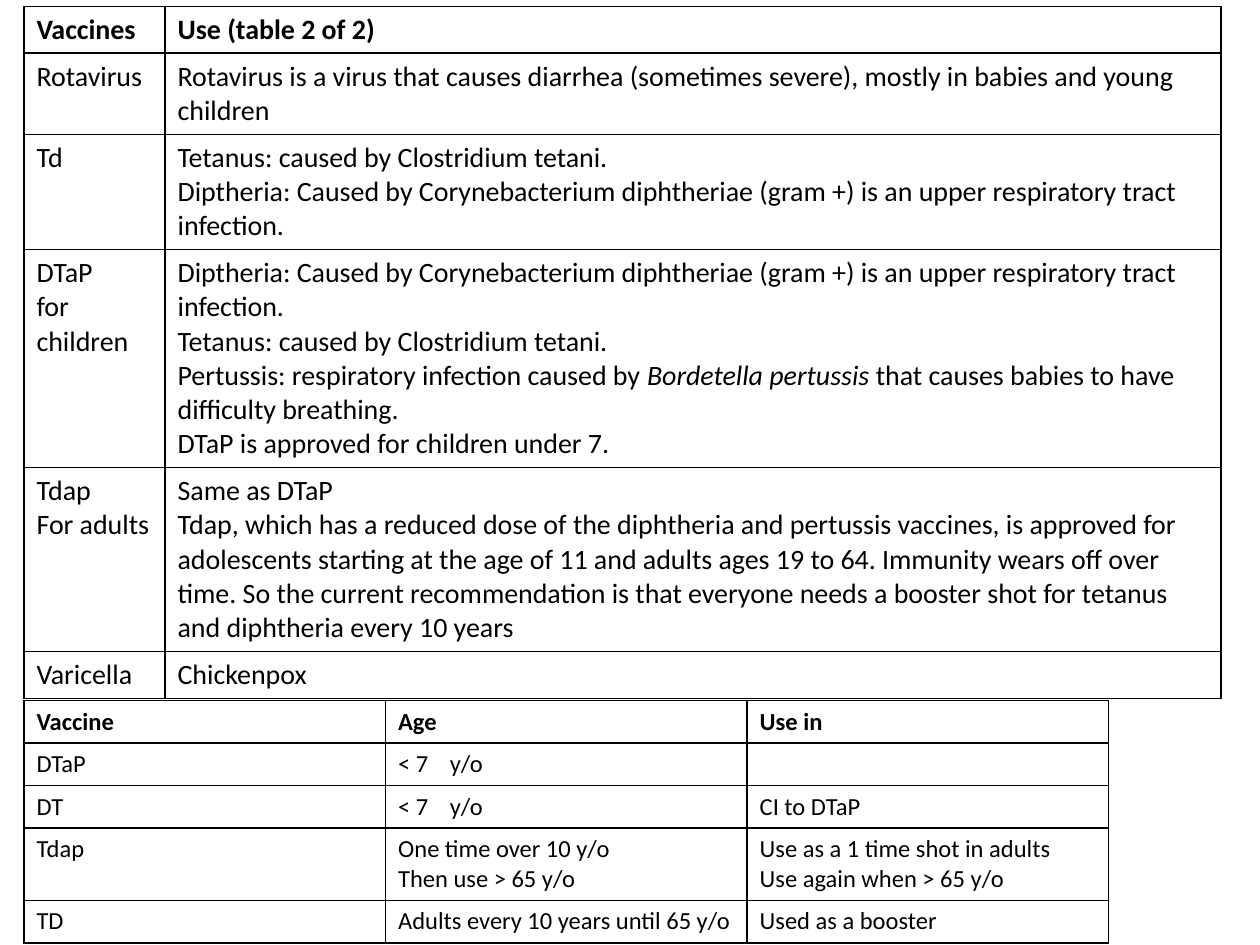
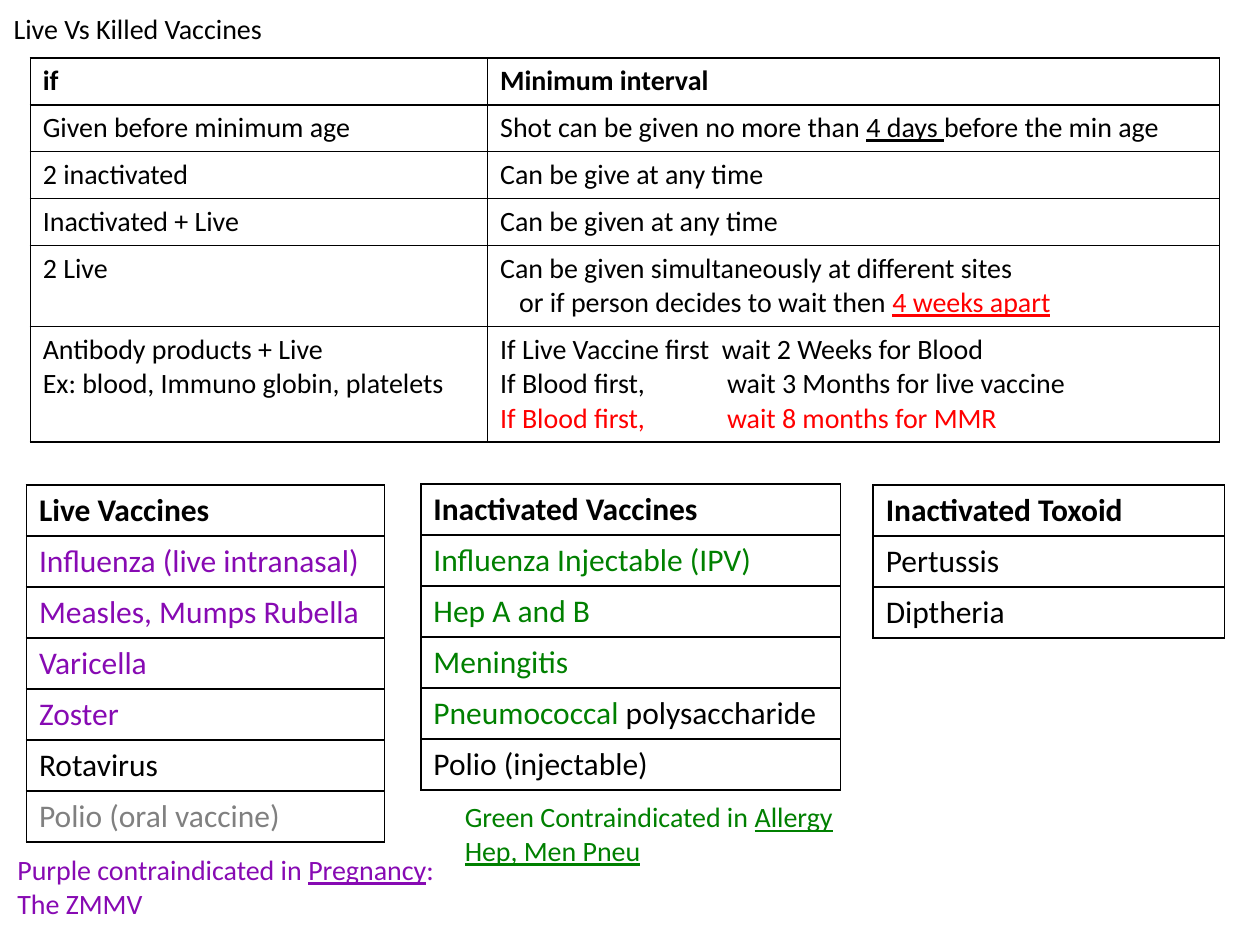
"""Build two slides of vaccine tables."""
from dataclasses import dataclass

from lxml.etree import SubElement
from pptx import Presentation
from pptx.dml.color import RGBColor
from pptx.enum.text import MSO_AUTO_SIZE
from pptx.oxml.ns import qn
from pptx.util import Inches, Pt


@dataclass(frozen=True)
class Theme:
    """Colours, font and type sizes of the deck."""
    font: str = "Calibri"
    black: str = "000000"
    red: str = "FF0000"
    purple: str = "870AB3"
    green: str = "008000"
    grey: str = "808080"
    small: int = 14
    body: int = 16
    large: int = 18
    border: int = 1
    line_factor: float = 1.22


THEME = Theme()


def run(text, **fmt):
    """Pair a text with its own format."""
    return text, fmt


def para(*runs, indent=0, tab=0):
    """Describe a paragraph of runs with an optional indent or tab stop."""
    return {"runs": runs, "indent": indent, "tab": tab}


def write(p, text, size=THEME.body, color=THEME.black, bold=False, italic=False, underline=False):
    """Add one formatted run to a paragraph."""
    r = p.add_run()
    r.text = text
    font = r.font
    font.name, font.size = THEME.font, Pt(size)
    font.bold, font.italic, font.underline = bold, italic, underline
    font.color.rgb = RGBColor.from_string(color)


class Deck:
    """Hold the presentation, its theme and the current slide."""

    def __init__(self, theme):
        """Start an empty deck."""
        self.theme = theme
        self.prs = Presentation()
        self.prs.slide_width, self.prs.slide_height = Inches(10), Inches(7.5)

    def slide(self):
        """Add a blank slide and make it current."""
        self.s = self.prs.slides.add_slide(self.prs.slide_layouts[6])

    def fill_text(self, tf, content, **fmt):
        """Write a string, a paragraph or a list of them into a text frame."""
        for i, item in enumerate(content if isinstance(content, list) else [content]):
            p = tf.add_paragraph() if i else tf.paragraphs[0]
            spec = item if isinstance(item, dict) else para(run(item))
            pPr = p._p.get_or_add_pPr()
            if spec["indent"]:
                pPr.set("marL", str(Inches(spec["indent"])))
                pPr.set("indent", "0")
            if spec["tab"]:
                stops = SubElement(pPr, qn("a:tabLst"))
                SubElement(stops, qn("a:tab"), pos=str(Inches(spec["tab"])), algn="l")
            for text, own in spec["runs"]:
                if text:
                    write(p, text, **{**fmt, **own})
                else:
                    SubElement(p._p, qn("a:endParaRPr"), sz=str(fmt["size"] * 100))

    def text(self, left, top, width, height, content, **fmt):
        """Add an unwrapped text box."""
        tf = self.s.shapes.add_textbox(*map(Inches, (left, top, width, height))).text_frame
        tf.word_wrap = False
        tf.auto_size = MSO_AUTO_SIZE.SHAPE_TO_FIT_TEXT
        self.fill_text(tf, content, **fmt)

    def frame(self, cell):
        """Draw the four borders of a cell and clear its fill."""
        tcPr = cell._tc.get_or_add_tcPr()
        for side in "LRTB":
            ln = SubElement(tcPr, qn(f"a:ln{side}"), w=str(Pt(self.theme.border)))
            fill = SubElement(ln, qn("a:solidFill"))
            SubElement(fill, qn("a:srgbClr"), val=self.theme.black)
        cell.fill.background()

    def table(self, left, top, widths, rows, size, lines=None):
        """Add a bordered table with a bold first row and heights set by line counts."""
        lines = lines or [1] * len(rows)
        heights = [0.1 + n * size * self.theme.line_factor / 72 for n in lines]
        box = map(Inches, (left, top, sum(widths), sum(heights)))
        table = self.s.shapes.add_table(len(rows), len(widths), *box).table
        table.first_row = table.horz_banding = False
        for column, width in zip(table.columns, widths):
            column.width = Inches(width)
        for i, (row, height) in enumerate(zip(rows, heights)):
            table.rows[i].height = Inches(height)
            for j, content in enumerate(row):
                cell = table.cell(i, j)
                self.frame(cell)
                self.fill_text(cell.text_frame, content, size=size, bold=i == 0)

    def vaccine_list(self, left, top, width, items):
        """Add a one-column table of vaccines."""
        self.table(left, top, [width], [[item] for item in items], self.theme.large)


def colored(color, *names):
    """Give each name one colour."""
    return [para(run(name, color=color)) for name in names]


def vaccine_uses(deck):
    """Build the slide on what each vaccine is used for."""
    tetanus = "Tetanus: caused by Clostridium tetani."
    diphtheria = ("Diptheria: Caused by Corynebacterium diphtheriae (gram +) "
                  "is an upper respiratory tract infection.")
    pertussis = para(run("Pertussis: respiratory infection caused by "),
                     run("Bordetella pertussis", italic=True),
                     run(" that causes babies to have difficulty breathing."))
    booster = ("Tdap, which has a reduced dose of the diphtheria and pertussis vaccines, "
               "is approved for adolescents starting at the age of 11 and adults ages 19 to 64. "
               "Immunity wears off over time. So the current recommendation is that everyone "
               "needs a booster shot for tetanus and diphtheria every 10 years")
    under_seven = para(run("< 7\ty/o"), tab=0.41)
    deck.slide()
    deck.table(0.19, 0.05, [1.12, 8.38], [
        ["Vaccines", "Use (table 2 of 2)"],
        ["Rotavirus", "Rotavirus is a virus that causes diarrhea (sometimes severe), "
                      "mostly in babies and young children"],
        ["Td", [tetanus, diphtheria]],
        [["DTaP", "for children"],
         [diphtheria, tetanus, pertussis, "DTaP is approved for children under 7."]],
        [["Tdap", "For adults"], ["Same as DTaP", booster]],
        ["Varicella", "Chickenpox"],
    ], THEME.body, lines=[1, 2, 3, 6, 5, 1])
    deck.table(0.19, 5.56, [2.87] * 3, [
        ["Vaccine", "Age", "Use in"],
        ["DTaP", under_seven, ""],
        ["DT", under_seven, "CI to DTaP"],
        ["Tdap", ["One time over 10 y/o", "Then use > 65 y/o"],
         ["Use as a 1 time shot in adults", "Use again when > 65 y/o"]],
        ["TD", "Adults every 10 years until 65 y/o", "Used as a booster"],
    ], THEME.small, lines=[1, 1, 1, 2, 1])


def live_and_killed(deck):
    """Build the slide that compares live and killed vaccines."""
    blood_tab = 1.8
    deck.slide()
    deck.table(0.24, 0.46, [3.63, 5.81], [
        ["if", "Minimum interval"],
        ["Given before minimum age",
         para(run("Shot can be given no more than "), run("4 days ", underline=True),
              run("before the min age"))],
        ["2 inactivated", "Can be give at any time"],
        ["Inactivated + Live", "Can be given at any time"],
        ["2 Live",
         ["Can be given simultaneously at different sites",
          para(run("or if person decides to wait then "),
               run("4 weeks apart", color=THEME.red, underline=True), indent=0.15)]],
        [["Antibody products + Live", "Ex: blood, Immuno globin, platelets"],
         [para(run("If Live Vaccine first\twait 2 Weeks for Blood"), tab=1.76),
          para(run("If Blood first,\twait 3 Months for live vaccine"), tab=blood_tab),
          para(run("If Blood first,\twait 8 months for MMR", color=THEME.red), tab=blood_tab)]],
    ], THEME.body, lines=[1, 1, 1, 1, 2, 3])
    deck.text(0.01, 0.04, 2.22, 0.37, "Live Vs Killed Vaccines")
    deck.vaccine_list(0.21, 3.85, 2.84, [
        "Live Vaccines",
        *colored(THEME.purple, "Influenza (live intranasal)", "Measles, Mumps Rubella",
                 "Varicella", "Zoster"),
        "Rotavirus",
        *colored(THEME.grey, "Polio (oral vaccine)")])
    deck.vaccine_list(3.34, 3.84, 3.33, [
        "Inactivated Vaccines",
        *colored(THEME.green, "Influenza Injectable (IPV)", "Hep A and B", "Meningitis"),
        para(run("Pneumococcal", color=THEME.green), run(" polysaccharide")),
        "Polio (injectable)"])
    deck.vaccine_list(6.93, 3.85, 2.79, ["Inactivated Toxoid", "Pertussis", "Diptheria"])
    deck.text(0.04, 6.72, 3.57, 0.64, [
        para(run("Purple contraindicated in "), run("Pregnancy", underline=True), run(":")),
        "The ZMMV"], color=THEME.purple)
    deck.text(3.59, 6.3, 3.18, 0.64, [
        para(run("Green Contraindicated in "), run("Allergy", underline=True)),
        para(run("Hep, Men Pneu", underline=True))], color=THEME.green)


def main():
    """Build and save the deck."""
    deck = Deck(THEME)
    vaccine_uses(deck)
    live_and_killed(deck)
    deck.prs.save("out.pptx")


if __name__ == "__main__":
    main()
